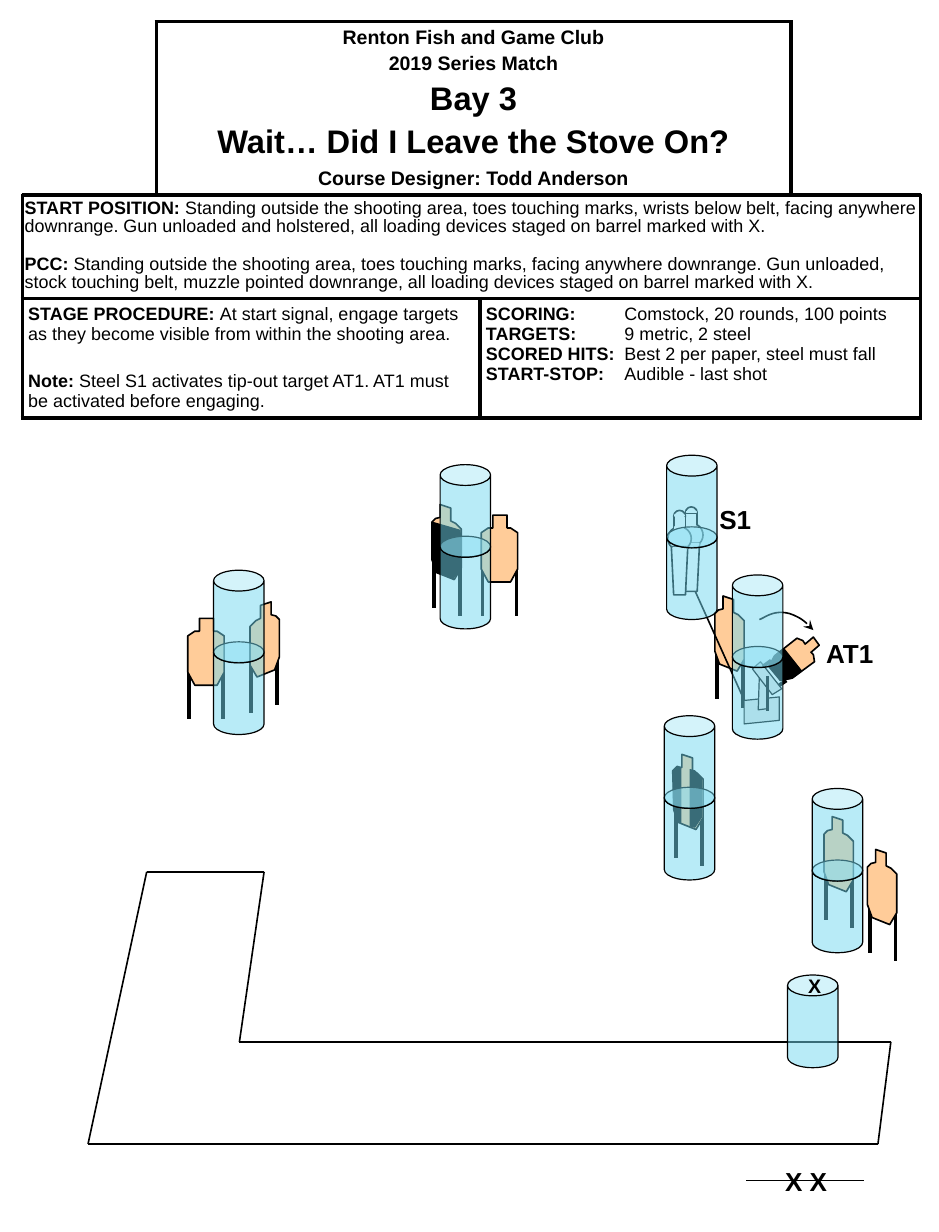
from dataclasses import dataclass
from itertools import pairwise

from lxml import etree
from pptx import Presentation, util as u
from pptx.dml.color import RGBColor as Rgb
from pptx.enum import shapes, text
from pptx.oxml import parse_xml
from pptx.oxml.ns import nsdecls, qn


@dataclass(frozen=True)
class Theme:
    font: str = "Arial"
    ink: str = "000000"
    paper: str = "FFFFFF"
    tan: str = "FFCC99"
    cyan: str = "73D9F1"
    gray: str = "E7E6E6"
    body: float = 11
    head: float = 12
    label: float = 16
    title: float = 20
    edge: float = 2.25
    thin: float = 1
    fine: float = 0.75


T = Theme()
KIND = shapes.MSO_SHAPE
FRONT = [(.1, 0), (.22, 0), (.22, .11), (.25, .11), (.31, .15), (.31, .46), (.25, .57),
         (.06, .57), (0, .46), (0, .15), (.06, .11), (.1, .11)]
SLANT = [(.16, .03), (.07, 0), (.07, .11), (.03, .12), (0, .15), (0, .47), (.04, .58),
         (.19, .64), (.25, .54), (.25, .21), (.2, .16), (.16, .14)]
TIPPED = [(6.93, 5.43), (6.98, 5.5), (6.91, 5.56), (6.93, 5.58), (6.94, 5.64), (6.75, 5.78),
          (6.65, 5.8), (6.55, 5.68), (6.6, 5.59), (6.79, 5.44), (6.84, 5.46), (6.86, 5.49)]
TIPCOVER = [(6.68, 5.53), (6.83, 5.72), (6.75, 5.78), (6.65, 5.8), (6.56, 5.68), (6.6, 5.59)]
COVERS = [
    [(3.93, 4.84), (3.86, 4.93), (3.72, 4.88), (3.68, 4.75), (3.68, 4.45), (3.92, 4.52)],
    [(5.98, 6.96), (5.92, 7.05), (5.88, 7.04), (5.88, 6.56), (5.92, 6.57), (5.98, 6.64)],
    [(5.8, 6.54), (5.77, 6.53), (5.73, 6.57), (5.74, 6.89), (5.76, 6.99), (5.8, 7.01)],
]
STAND = [
    [(6.64, 5.94), (6.34, 5.97), (6.34, 6.17), (6.64, 6.14)],
    [(6.54, 5.83), (6.54, 6.04), (6.46, 6.05), (6.47, 5.75)],
    [(6.48, 5.64), (6.66, 5.87), (6.58, 5.92), (6.41, 5.7)],
]
SWING = [[(6.47, 5.28), (6.51, 5.27), (6.59, 5.19), (6.73, 5.23)],
         [(6.73, 5.23), (6.87, 5.28), (6.89, 5.34), (6.93, 5.37)]]
AREA = [(.75, 9.75), (1.25, 7.43), (2.25, 7.43), (2.04, 8.88), (7.59, 8.88), (7.48, 9.75),
        (.75, 9.75)]


def put(obj, vals):
    for name, val in vals.items():
        setattr(obj, name, val)


def tint(fill, hue):
    fill.solid()
    fill.fore_color.rgb = Rgb.from_string(hue)


def style(shape, hue, line=T.ink, width=T.thin):
    shape.shadow.inherit = False
    if hue:
        tint(shape.fill, hue)
    else:
        shape.fill.background()
    if line:
        tint(shape.line.fill, line)
        shape.line.width = u.Pt(width)
    else:
        shape.line.fill.background()


def box(slide, kind, x, y, w, h, hue, line=T.ink, width=T.thin):
    shape = slide.shapes.add_shape(kind, *map(u.Inches, (x, y, w, h)))
    style(shape, hue, line, width)
    return shape


def line(slide, start, end, width=T.thin):
    rule = slide.shapes.add_connector(
        shapes.MSO_CONNECTOR.STRAIGHT, *map(u.Inches, (*start, *end)))
    tint(rule.line.fill, T.ink)
    rule.line.width = u.Pt(width)
    etree.SubElement(rule._element.spPr, qn("a:effectLst"))


def outline(slide, points, hue, width=T.thin, close=True):
    dots = [(u.Inches(x), u.Inches(y)) for x, y in points]
    pen = slide.shapes.build_freeform(*dots[0])
    pen.add_line_segments(dots[1:], close=close)
    shape = pen.convert_to_shape()
    style(shape, hue, T.ink, width)
    return shape


def write(frame, paras):
    for num, (runs, size, form) in enumerate(paras):
        para = frame.paragraphs[0] if num == 0 else frame.add_paragraph()
        put(para, form)
        for words, bold in runs:
            run = para.add_run()
            run.text = words
            put(run.font, {"name": T.font, "size": u.Pt(size), "bold": bold})
            tint(run.font.fill, T.ink)


def label(slide, words, x, y, w, h, size=T.label, align=text.PP_ALIGN.LEFT):
    frame = slide.shapes.add_textbox(*map(u.Inches, (x, y, w, h))).text_frame
    frame.word_wrap = True
    write(frame, [([(words, True)], size, {"alignment": align})])


def target(slide, x, y, form, legs, flip=False):
    def place(dx, dy):
        return (x + (.25 - dx if flip else dx), y + dy)
    for dx, dy in legs:
        line(slide, place(dx, dy), place(dx, dy + .44), T.edge)
    outline(slide, [place(*dot) for dot in form], T.tan)


def can(slide, x, y):
    shape = box(slide, KIND.CAN, x, y, .43, .79, T.cyan, T.ink, T.fine)
    shape.adjustments[0] = .413
    hue = shape._element.spPr.find(qn("a:solidFill"))[0]
    etree.SubElement(hue, qn("a:alpha"), val="50000")


def stack(slide, x, y):
    can(slide, x, y + .61)
    can(slide, x, y)


def popper(slide, x, y):
    box(slide, KIND.OVAL, x + .05, y, .1, .1, T.paper)
    box(slide, KIND.OVAL, x, y + .14, .2, .2, T.paper)
    form = [(.03, .31), (.17, .31), (.15, .72), (.05, .72)]
    outline(slide, [(x + dx, y + dy) for dx, dy in form], T.paper)
    box(slide, KIND.RECTANGLE, x + .05, y + .05, .1, .1, T.paper)
    box(slide, KIND.RECTANGLE, x + .04, y + .31, .13, .02, T.paper, None)
    for dx, dy, w, h in [(.06, .14, .07, .02), (.06, .04, .08, .01)]:
        box(slide, KIND.RECTANGLE, x + dx, y + dy, w, h, T.paper, T.paper)


def curve(parts, steps=12):
    dots = [parts[0][0]]
    for part in parts:
        for num in range(1, steps + 1):
            t = num / steps
            mix = ((1 - t) ** 3, 3 * t * (1 - t) ** 2, 3 * t * t * (1 - t), t ** 3)
            dots.append(tuple(sum(m * p[i] for m, p in zip(mix, part)) for i in (0, 1)))
    return dots


def border(cell, sides):
    props = cell._tc.get_or_add_tcPr()
    for side in "LRTB":
        if side in sides:
            props.append(parse_xml(
                f'<a:ln{side} {nsdecls("a")} w="{u.Pt(T.edge)}"><a:solidFill>'
                f'<a:srgbClr val="{T.ink}"/></a:solidFill></a:ln{side}>'))


def region(grid, row, first, last, paras=(), sides="LRTB", pad=(.05, .05), anchor="TOP"):
    for col in range(first, last + 1):
        cell = grid.cell(row, col)
        ends = "TB" + "L" * (col == first) + "R" * (col in (first, last))
        border(cell, [side for side in sides if side in ends])
        tint(cell.fill, T.paper)
    cell = grid.cell(row, first)
    if last > first:
        cell.merge(grid.cell(row, last))
    wide, high = map(u.Inches, pad)
    put(cell, {"margin_left": wide, "margin_right": wide, "margin_top": high,
               "margin_bottom": high,
               "vertical_anchor": getattr(text.MSO_ANCHOR, anchor)})
    write(cell.text_frame, paras)


def brief(slide):
    cols, rows = (1.14, 2.76, 2.65, 1.1), (1.47, .88, 1.02)
    grid = slide.shapes.add_table(
        3, 4, *map(u.Inches, (.19, .18, sum(cols), sum(rows)))).table
    put(grid, {"first_row": False, "horz_banding": False})
    for col, size in zip(grid.columns, cols):
        col.width = u.Inches(size)
    for row, size in zip(grid.rows, rows):
        row.height = u.Inches(size)
    heads = [("Renton Fish and Game Club", T.head, 0), ("2019 Series Match", T.head, 2.4),
             ("Bay 3", T.title, 4), ("Wait… Did I Leave the Stove On?", T.title, 4),
             ("Course Designer: Todd Anderson", T.head, 4.2)]
    region(grid, 0, 0, 0, sides="RB")
    region(grid, 0, 1, 2, [
        ([(words, True)], size, {"alignment": text.PP_ALIGN.CENTER, "space_before": u.Pt(gap)})
        for words, size, gap in heads], anchor="MIDDLE")
    region(grid, 0, 3, 3, sides="LB")
    region(grid, 1, 0, 3, [
        ([("START POSITION:", True), (" Standing outside the shooting area, toes touching marks, wrists below belt, facing anywhere downrange. Gun unloaded and holstered, all loading devices staged on barrel marked with X.", False)], T.body, {"line_spacing": .9}),
        ([("PCC: ", True), ("Standing outside the shooting area, toes touching marks, facing anywhere downrange. Gun unloaded, stock touching belt, muzzle pointed downrange, all loading devices staged on barrel marked with X.", False)], T.body, {"line_spacing": .9, "space_before": u.Pt(12.5)}),
    ], pad=(.02, .04))
    region(grid, 2, 0, 1, [
        ([("STAGE PROCEDURE: ", True), ("At start signal, engage targets as they become visible from within the shooting area.", False)], T.body, {}),
        ([("Note:", True), (" Steel S1 activates tip-out target AT1. AT1 must be activated before engaging.", False)], T.body, {"space_before": u.Pt(16.5)}),
    ])
    facts = [("SCORING:", "Comstock, 20 rounds, 100 points"), ("TARGETS:", "9 metric, 2 steel"),
             ("SCORED HITS:", "Best 2 per paper, steel must fall"),
             ("START-STOP:", "Audible - last shot")]
    region(grid, 2, 2, 3, [([(name, True), ("\t" + val, False)], T.body, {})
                           for name, val in facts])
    for para in grid.cell(2, 2).text_frame.paragraphs:
        tabs = etree.SubElement(para._p.get_or_add_pPr(), qn("a:tabLst"))
        etree.SubElement(tabs, qn("a:tab"), pos=str(u.Inches(1.18)), algn="l")


def tipout(slide):
    for form in STAND:
        outline(slide, form, T.gray, T.fine)
    for start, end in [((6.57, 5.63), (6.5, 5.68)), ((6.7, 5.8), (6.64, 5.84)),
                       ((6.54, 5.76), (6.54, 6.06))]:
        line(slide, start, end, T.edge)
    arrow = outline(slide, curve(SWING), None, close=False)
    etree.SubElement(arrow.line._get_or_add_ln(), qn("a:tailEnd"), type="stealth")
    outline(slide, TIPPED, T.tan)
    outline(slide, TIPCOVER, T.ink, 0)


def main():
    deck = Presentation()
    put(deck, {"slide_width": u.Inches(8), "slide_height": u.Inches(10.5)})
    slide = deck.slides.add_slide(deck.slide_layouts[6])
    brief(slide)
    for x, y in [(4.1, 4.39), (1.6, 5.27)]:
        target(slide, x, y, FRONT, [(.01, .42), (.3, .42)])
    for x, y, flip in [(7.02, 6.96, False), (3.68, 4.3, False), (2.13, 5.13, True),
                       (6.09, 5.08, False), (7.39, 7.24, False), (5.74, 6.43, False)]:
        target(slide, x, y, SLANT, [(.24, .51), (.02, .44)], flip)
    for form in COVERS:
        outline(slide, form, T.ink, 0)
    line(slide, (5.91, 5.01), (6.4, 6.1))
    tipout(slide)
    for x, y in [(5.79, 4.32), (5.69, 4.35)]:
        popper(slide, x, y)
    for x, y in [(6.92, 6.72), (3.75, 3.96), (1.82, 4.86), (6.24, 4.9), (5.68, 3.88),
                 (5.66, 6.1)]:
        stack(slide, x, y)
    for start, end in pairwise(AREA):
        line(slide, start, end)
    line(slide, (7.36, 10.06), (6.36, 10.06))
    can(slide, 6.71, 8.31)
    label(slide, "X", 6.65, 8.25, .58, .3, T.head, text.PP_ALIGN.CENTER)
    for words, x, y, w in [("X X", 6.59, 9.88, .58), ("AT1", 6.94, 5.38, .63),
                           ("S1", 6.03, 4.24, .69)]:
        label(slide, words, x, y, w, .37)
    deck.save("out.pptx")


if __name__ == "__main__":
    main()
